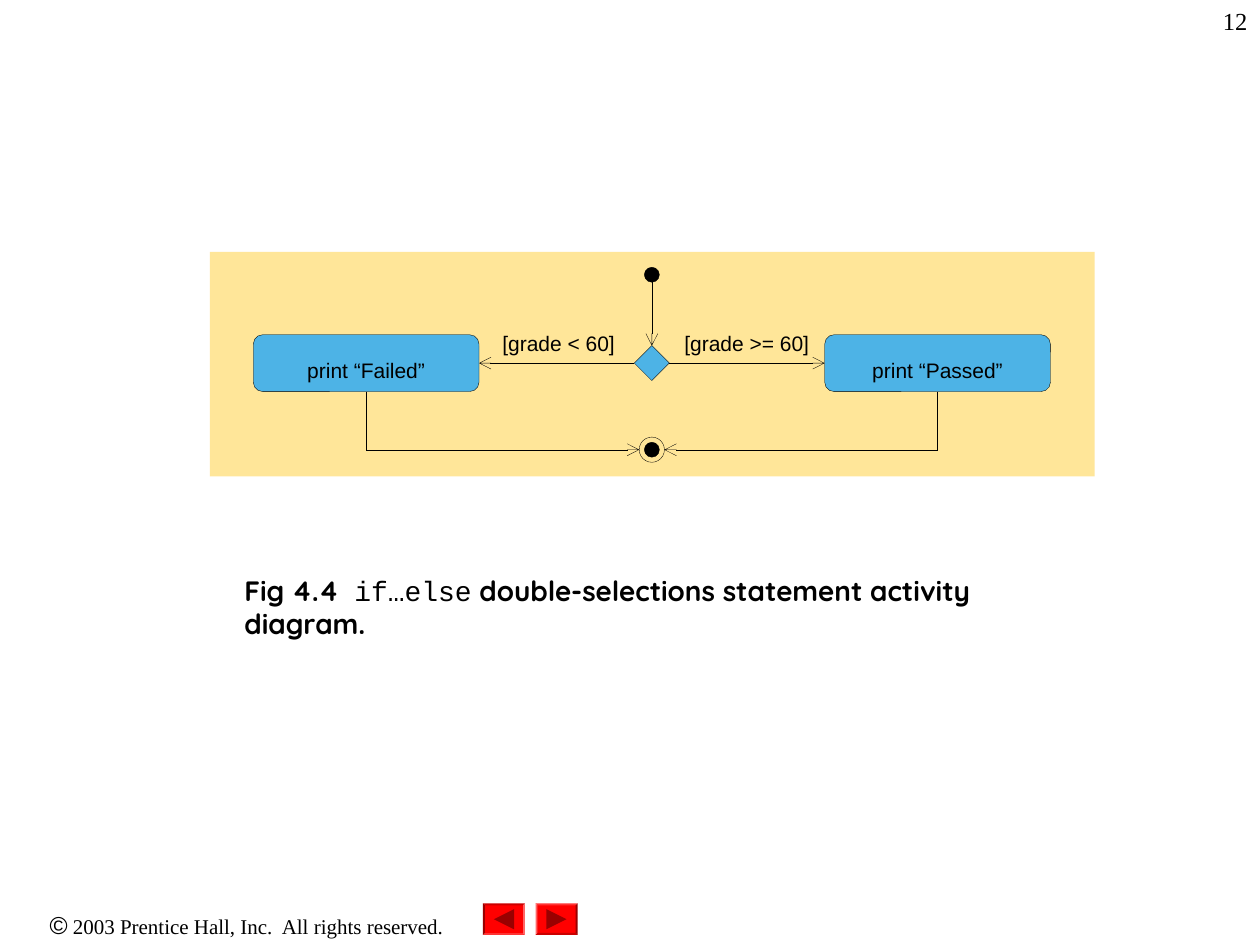
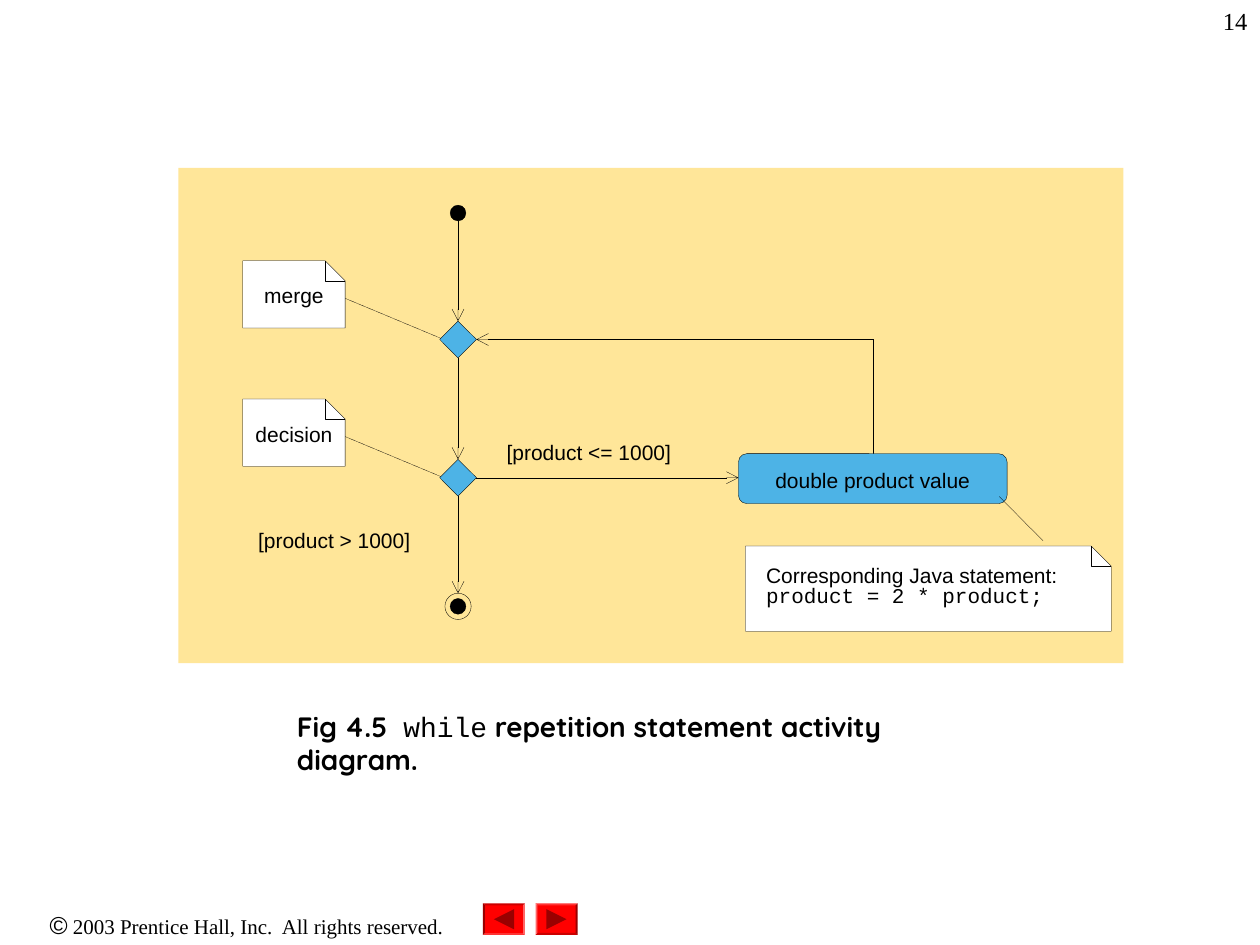
from lxml import etree
from pptx import Presentation
from pptx.dml.color import RGBColor
from pptx.enum.dml import MSO_LINE
from pptx.enum.shapes import MSO_CONNECTOR, MSO_SHAPE
from pptx.enum.text import MSO_ANCHOR, MSO_AUTO_SIZE, PP_ALIGN
from pptx.oxml.ns import qn
from pptx.util import Pt

BLACK = RGBColor(0x00, 0x00, 0x00)
WHITE = RGBColor(0xFF, 0xFF, 0xFF)
SAND = RGBColor(0xFF, 0xE6, 0x99)
BLUE = RGBColor(0x4D, 0xB3, 0xE6)
RED = RGBColor(0xFF, 0x00, 0x00)
DARK_RED = RGBColor(0x99, 0x00, 0x00)

RECTANGLE = MSO_SHAPE.RECTANGLE
ROUNDED = MSO_SHAPE.ROUNDED_RECTANGLE
OVAL = MSO_SHAPE.OVAL
DIAMOND = MSO_SHAPE.DIAMOND
BEVEL = MSO_SHAPE.BEVEL
TRIANGLE = MSO_SHAPE.ISOSCELES_TRIANGLE
STRAIGHT = MSO_CONNECTOR.STRAIGHT
DOTTED = MSO_LINE.ROUND_DOT
LEFT, CENTER, RIGHT = PP_ALIGN.LEFT, PP_ALIGN.CENTER, PP_ALIGN.RIGHT
TOP = MSO_ANCHOR.TOP
NO_AUTOFIT = MSO_AUTO_SIZE.NONE

HAIRLINE = 0.2
FOLD = 11.5
MARGINS = (7.2, 3.6, 7.2, 3.6)
NO_MARGINS = (0, 0, 0, 0)

DIAGRAM = {"name": "Arial", "size": Pt(12), "bold": False}
CODE = {**DIAGRAM, "name": "Courier New"}
CAPTION = {"name": "Quicksand", "size": Pt(16), "bold": True}
CAPTION_CODE = {"name": "Courier New", "size": Pt(16), "bold": False}
PAGE_NUMBER = {"name": "Times New Roman", "size": Pt(14)}
COPYRIGHT = {"name": "Times New Roman", "size": Pt(12)}
COPYRIGHT_SIGN = {"name": "Arial", "size": Pt(14)}


def apply(target, formats):
    for name, value in formats.items():
        setattr(target, name, value)


def points(*values):
    return [Pt(value) for value in values]


def write(box, lines, align=CENTER, margins=NO_MARGINS, spacing=1.0):
    left, top, right, bottom = points(*margins)
    frame = box.text_frame
    apply(frame, {
        "margin_left": left, "margin_top": top,
        "margin_right": right, "margin_bottom": bottom,
        "word_wrap": True, "auto_size": NO_AUTOFIT, "vertical_anchor": TOP,
    })
    for index, spans in enumerate(lines):
        para = frame.add_paragraph() if index else frame.paragraphs[0]
        apply(para, {"alignment": align, "line_spacing": spacing,
                     "space_before": Pt(0)})
        for text, formats in spans:
            span = para.add_run()
            span.text = text
            apply(span.font, formats)
            span.font.color.rgb = BLACK


def add_text(page, area, lines, **layout):
    write(page.shapes.add_textbox(*points(*area)), lines, **layout)


def add_label(page, area, text, **layout):
    add_text(page, area, [[(text, DIAGRAM)]], **layout)


def paint(shape, fill, line=None):
    shape.shadow.inherit = False
    if fill is None:
        shape.fill.background()
    else:
        shape.fill.solid()
        shape.fill.fore_color.rgb = fill
    if line is None:
        shape.line.fill.background()
    else:
        shape.line.color.rgb = line
        shape.line.width = Pt(HAIRLINE)


def add_shape(page, kind, area, fill, line=None):
    shape = page.shapes.add_shape(kind, *points(*area))
    paint(shape, fill, line)
    return shape


def add_centered(page, kind, x, y, radius, fill, line=BLACK):
    area = (x - radius, y - radius, 2 * radius, 2 * radius)
    return add_shape(page, kind, area, fill, line)


def add_final_state(page, x, y, inner, outer):
    add_centered(page, OVAL, x, y, inner, BLACK)
    add_centered(page, OVAL, x, y, outer, None)


def add_line(page, start, end, arrow=False, dash=None):
    line = page.shapes.add_connector(STRAIGHT, *points(*start, *end))
    line.line.color.rgb = BLACK
    line.line.width = Pt(HAIRLINE)
    if dash is not None:
        line.line.dash_style = dash
    properties = line._element.spPr
    if arrow:
        outline = properties.find(qn("a:ln"))
        etree.SubElement(outline, qn("a:tailEnd"), type="arrow")
    etree.SubElement(properties, qn("a:effectLst"))


def add_action(page, area, text, top, spacing=1.0):
    action = add_shape(page, ROUNDED, area, BLUE, BLACK)
    write(action, [[(text, DIAGRAM)]], margins=(0, top, 0, 0), spacing=spacing)


def add_outline(page, corners, fill, close):
    vertices = [points(*corner) for corner in corners]
    builder = page.shapes.build_freeform(*vertices[0], scale=1.0)
    builder.add_line_segments(vertices[1:], close=close)
    shape = builder.convert_to_shape()
    paint(shape, fill, BLACK)
    return shape


def add_note(page, area, lines, **layout):
    left, top, width, height = area
    right, bottom = left + width, top + height
    fold_top, fold_right = (right - FOLD, top), (right, top + FOLD)
    note = add_outline(page, [(left, top), fold_top, fold_right,
                              (right, bottom), (left, bottom)], WHITE, True)
    write(note, lines, spacing=0.8, **layout)
    add_outline(page, [fold_right, (right - FOLD, top + FOLD), fold_top],
                None, False)


def add_button(page, left, bevel_turn, arrow_turn):
    top, width, height = 516.25, 24, 18
    bevel = add_shape(page, BEVEL, (left, top, width, height), RED)
    bevel.adjustments[0] = 0.06
    bevel.rotation = bevel_turn
    arrow = add_centered(page, TRIANGLE, left + width / 2, top + height / 2,
                         5.75, DARK_RED, None)
    arrow.rotation = arrow_turn


def add_page(deck, number, figure, keyword, rest, caption_area):
    page = deck.slides.add_slide(deck.slide_layouts[5])
    caption = page.shapes.title
    left, top, width, height = points(*caption_area)
    apply(caption, {"left": left, "top": top, "width": width, "height": height})
    write(caption, [[(figure + "  ", CAPTION), (keyword, CAPTION_CODE),
                     (" " + rest, CAPTION)]], align=LEFT, margins=MARGINS)
    add_text(page, (570, 0, 150, 36), [[(str(number), PAGE_NUMBER)]],
             align=RIGHT, margins=MARGINS)
    add_text(page, (0, 516.25, 282, 24.5), [[
        ("©", COPYRIGHT_SIGN),
        (" 2003 Prentice Hall, Inc.  All rights reserved.", COPYRIGHT),
    ]], margins=MARGINS)
    add_button(page, 276, 180, 270)
    add_button(page, 306, 0, 90)
    return page


def draw_selection(deck):
    page = add_page(deck, 12, "Fig 4.4", "if…else",
                    "double-selections statement activity diagram.",
                    (132.5, 324, 499.5, 46))
    axis, start_y, decision_y, end_y = 372.5, 157, 207.5, 257
    dot, diamond, ring = 4.3, 10, 7.2
    width, height, offset = 129, 32.5, 163.25
    add_shape(page, RECTANGLE, (120, 144, 505.5, 128.25), SAND)
    add_centered(page, OVAL, axis, start_y, dot, BLACK)
    add_line(page, (axis, start_y + dot), (axis, decision_y - diamond), True)
    add_centered(page, DIAMOND, axis, decision_y, diamond, BLUE)
    branches = [(-1, "[grade < 60]", 281.5, "print “Failed”"),
                (1, "[grade >= 60]", 389, "print “Passed”")]
    for side, guard, guard_left, action in branches:
        x = axis + side * offset
        top = decision_y - height / 2
        add_action(page, (x - width / 2, top, width, height), action, 11.5)
        add_label(page, (guard_left, 188.75, 75.5, 13), guard)
        add_line(page, (axis + side * diamond, decision_y),
                 (x - side * width / 2, decision_y), True)
        add_line(page, (x, top + height), (x, end_y))
        add_line(page, (x, end_y), (axis + side * ring, end_y), True)
    add_final_state(page, axis, end_y, dot, ring)


def draw_repetition(deck):
    page = add_page(deck, 14, "Fig 4.5", "while",
                    "repetition statement activity diagram.",
                    (162.5, 401.75, 415, 46))
    axis, start_y, merge_y, decision_y, end_y = 261.75, 121.75, 194, 273, 346.5
    dot, diamond, ring = 4.5, 10.5, 7.5
    action_left, action_top, loop_x = 422, 259.25, 498.75
    add_shape(page, RECTANGLE, (102, 96, 540, 283), SAND)
    add_centered(page, OVAL, axis, start_y, dot, BLACK)
    stops = [(start_y, dot), (merge_y, diamond), (decision_y, diamond),
             (end_y, ring)]
    for (above, upper), (below, lower) in zip(stops, stops[1:]):
        add_line(page, (axis, above + upper), (axis, below - lower), True)
    for y, name in [(merge_y, "merge"), (decision_y, "decision")]:
        add_line(page, (axis - 8.25, y), (197.25, y - 23.5), dash=DOTTED)
        add_centered(page, DIAMOND, axis, y, diamond, BLUE)
        add_note(page, (138.75, y - 45, 58.5, 38.5), [[(name, DIAGRAM)]],
                 margins=(0, 15.5, 0, 0))
    add_final_state(page, axis, end_y, dot, ring)
    add_label(page, (289.5, 254.25, 123, 14), "[product <= 1000]",
              align=LEFT, spacing=0.8)
    add_label(page, (147.5, 304.5, 110, 14), "[product > 1000]",
              align=LEFT, spacing=0.8)
    add_line(page, (axis + diamond, decision_y), (action_left, decision_y), True)
    add_line(page, (loop_x, action_top), (loop_x, merge_y))
    add_line(page, (loop_x, merge_y), (axis + diamond, merge_y), True)
    add_action(page, (action_left, action_top, 153.5, 28.5),
               "double product value", 9.4, 0.8)
    add_line(page, (571, 283.75), (596, 309), dash=DOTTED)
    add_note(page, (426, 312, 209, 48.75),
             [[("Corresponding Java statement:", DIAGRAM)],
              [("product = 2 * product;", CODE)]],
             align=LEFT, margins=(11.75, 12.25, 0, 0))


def main():
    deck = Presentation()
    deck.slide_width, deck.slide_height = points(720, 540)
    draw_selection(deck)
    draw_repetition(deck)
    deck.save("out.pptx")


if __name__ == "__main__":
    main()
